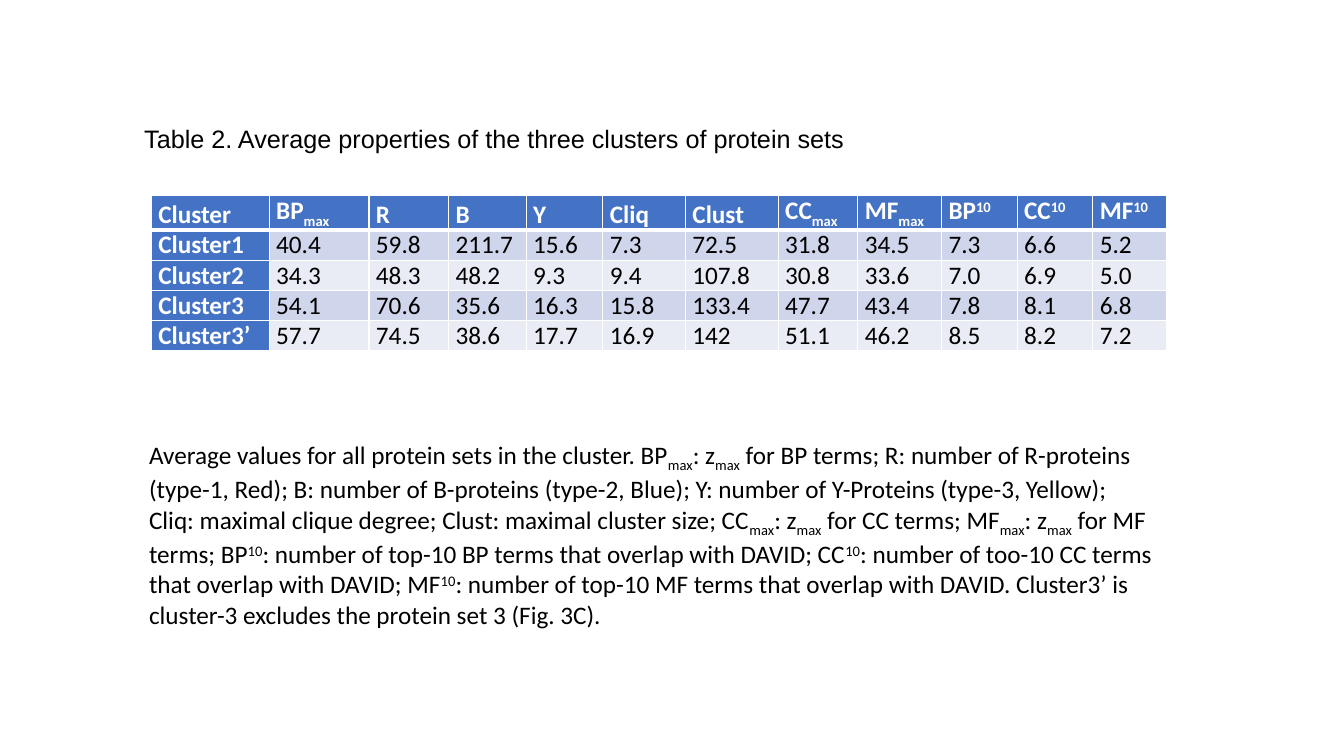
"""Build the slide with the table of average cluster properties."""
from dataclasses import dataclass

from lxml.etree import SubElement
from pptx import Presentation
from pptx.dml.color import RGBColor
from pptx.enum.text import MSO_ANCHOR, MSO_AUTO_SIZE, PP_ALIGN
from pptx.oxml import parse_xml
from pptx.oxml.ns import nsdecls, qn
from pptx.util import Inches, Pt


@dataclass(frozen=True)
class Theme:
    """Colours, fonts and type size of the slide."""
    head: str = "4472C4"
    bands: tuple[str, str] = ("CFD5EA", "E9EBF5")
    light: str = "FFFFFF"
    dark: str = "000000"
    sans: str = "Arial"
    text: str = "Calibri"
    size: int = 18


@dataclass(frozen=True)
class Field:
    """One table column: heading, width in inches, anchor and values."""
    name: str
    width: float
    anchor: MSO_ANCHOR
    values: str


THEME = Theme()
SHIFT = {"max": -25000, "10": 30000}
LOW, TOP = MSO_ANCHOR.BOTTOM, MSO_ANCHOR.TOP
FIELDS = [
    Field("Cluster", 1.17, LOW, "Cluster1 Cluster2 Cluster3 Cluster3’"),
    Field("BP|max", 0.99, LOW, "40.4 34.3 54.1 57.7"),
    Field("R", 0.79, LOW, "59.8 48.3 70.6 74.5"),
    Field("B", 0.77, LOW, "211.7 48.2 35.6 38.6"),
    Field("Y", 0.76, LOW, "15.6 9.3 16.3 17.7"),
    Field("Cliq", 0.82, LOW, "7.3 9.4 15.8 16.9"),
    Field("Clust", 0.92, LOW, "72.5 107.8 133.4 142"),
    Field("CC|max", 0.79, LOW, "31.8 30.8 47.7 51.1"),
    Field("MF|max", 0.83, LOW, "34.5 33.6 43.4 46.2"),
    Field("BP|10", 0.75, TOP, "7.3 7.0 7.8 8.5"),
    Field("CC|10", 0.75, TOP, "6.6 6.9 8.1 8.2"),
    Field("MF|10", 0.73, TOP, "5.2 5.0 6.8 7.2"),
]
TITLE = "Table 2. Average properties of the three clusters of protein sets"
NOTE = (
    "Average values for all protein sets in the cluster. "
    "BP|max|: z|max| for BP terms; R: number of R-proteins (type-1, Red); "
    "B: number of B-proteins (type-2, Blue); "
    "Y: number of Y-Proteins (type-3, Yellow); "
    "Cliq: maximal clique degree; Clust: maximal cluster size; "
    "CC|max|: z|max| for CC terms; MF|max|: z|max| for MF terms; "
    "BP|10|: number of top-10 BP terms that overlap with DAVID; "
    "CC|10|: number of too-10 CC terms that overlap with DAVID; "
    "MF|10|: number of top-10 MF terms that overlap with DAVID. "
    "Cluster3’ is cluster-3 excludes the protein set 3 (Fig. 3C)."
)


def write(frame, text: str, font: str, color: str, bold: bool = False) -> None:
    """Write text whose bars set off the raised and lowered pieces."""
    line = frame.paragraphs[0]
    line.alignment = PP_ALIGN.LEFT
    for piece in text.split("|"):
        run = line.add_run()
        run.text = piece
        run.font.name = font
        run.font.size = Pt(THEME.size)
        run.font.bold = bold
        run.font.color.rgb = RGBColor.from_string(color)
        if piece in SHIFT:
            run._r.get_or_add_rPr().set("baseline", str(SHIFT[piece]))


def edge(cell, sides: dict[str, int]) -> None:
    """Draw white cell borders of the given widths in points."""
    props = cell._tc.get_or_add_tcPr()
    for spot, (side, width) in enumerate(sides.items()):
        line = parse_xml(f'<a:ln{side} {nsdecls("a")} w="{Pt(width)}"/>')
        fill = SubElement(line, qn("a:solidFill"))
        SubElement(fill, qn("a:srgbClr"), val=THEME.light)
        props.insert(spot, line)


def fit(shape) -> None:
    """Wrap the text and let the shape grow with it."""
    shape.text_frame.word_wrap = True
    shape.text_frame.auto_size = MSO_AUTO_SIZE.SHAPE_TO_FIT_TEXT


def draw_title(slide) -> None:
    """Place the caption in the title placeholder."""
    title = slide.shapes.title
    title.left, title.top = Inches(1.33), Inches(1.17)
    title.width, title.height = Inches(7.19), Inches(0.4)
    fit(title)
    title.text_frame.vertical_anchor = TOP
    write(title.text_frame, TITLE, THEME.sans, THEME.dark)


def draw_table(slide) -> None:
    """Draw the table, one field per column."""
    count = len(FIELDS[0].values.split()) + 1
    table = slide.shapes.add_table(
        count, len(FIELDS), Inches(1.5), Inches(1.94), Inches(10.06), Inches(1.5)
    ).table
    table.first_col = True
    for row in table.rows:
        row.height = Inches(0.3)
    for col, field in enumerate(FIELDS):
        table.columns[col].width = Inches(field.width)
        for row, text in enumerate([field.name, *field.values.split()]):
            cell = table.cell(row, col)
            head = row == 0 or col == 0
            cell.margin_left = cell.margin_right = Inches(0.07)
            cell.margin_top = cell.margin_bottom = 0
            cell.vertical_anchor = field.anchor
            color = THEME.head if head else THEME.bands[(row - 1) % 2]
            cell.fill.solid()
            cell.fill.fore_color.rgb = RGBColor.from_string(color)
            edge(cell, {"L": 1, "R": 1, "T": 3 if row == 1 else 1,
                        "B": 3 if row == 0 else 1})
            ink = THEME.light if head else THEME.dark
            write(cell.text_frame, text, THEME.text, ink, head)


def draw_note(slide) -> None:
    """Place the explanation of the columns below the table."""
    note = slide.shapes.add_textbox(
        Inches(1.38), Inches(4.31), Inches(10.18), Inches(1.92)
    )
    fit(note)
    write(note.text_frame, NOTE, THEME.text, THEME.dark)


def main() -> None:
    """Build and save the slide."""
    deck = Presentation()
    deck.slide_width, deck.slide_height = Inches(13.33), Inches(7.5)
    slide = deck.slides.add_slide(deck.slide_layouts[5])
    draw_title(slide)
    draw_table(slide)
    draw_note(slide)
    deck.save("out.pptx")


if __name__ == "__main__":
    main()
